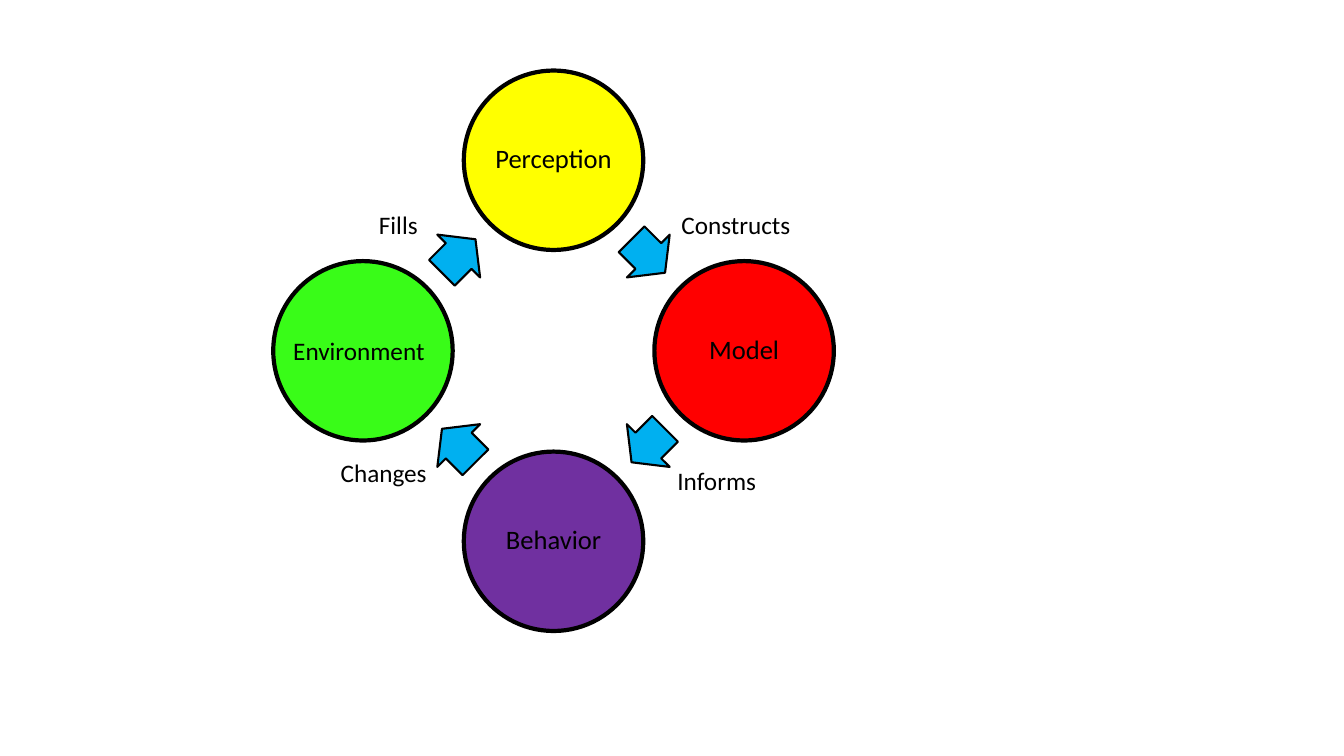
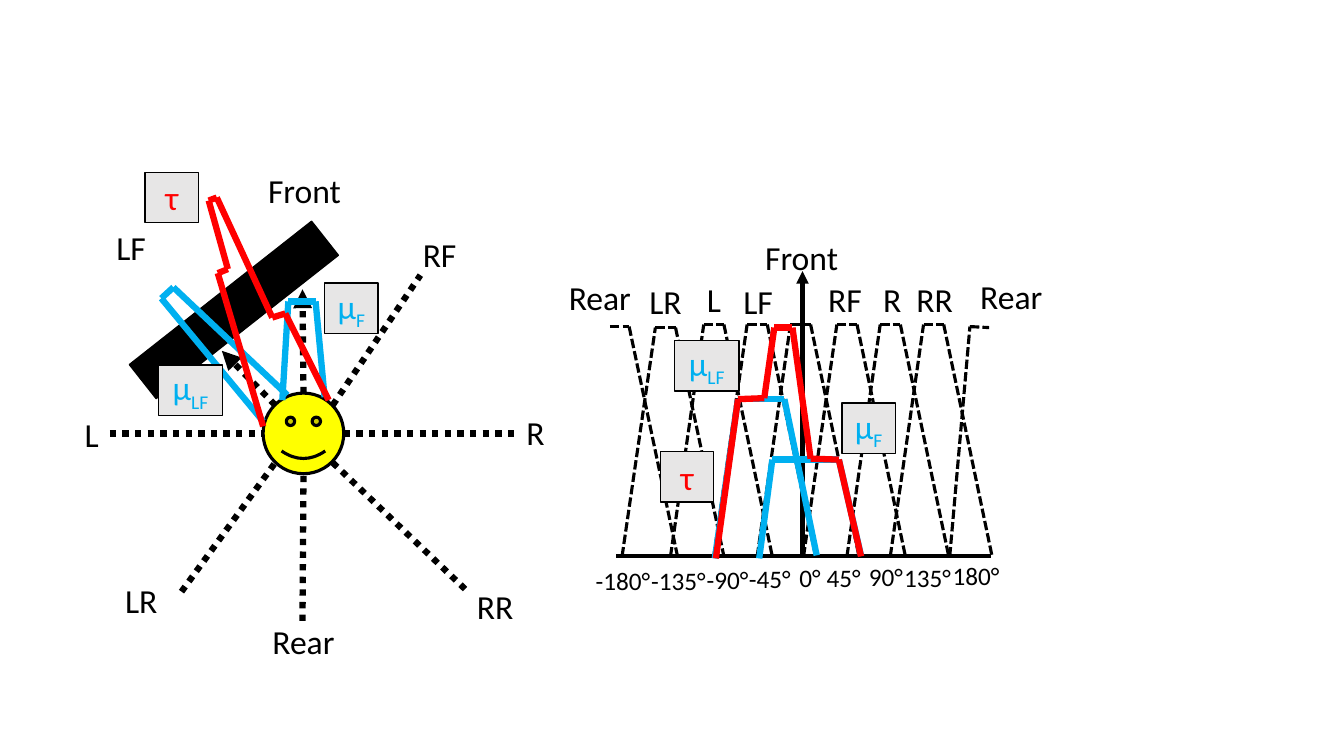
from itertools import pairwise

from lxml.etree import SubElement
from pptx import Presentation
from pptx.dml.color import RGBColor
from pptx.enum.dml import MSO_LINE
from pptx.enum.shapes import MSO_CONNECTOR, MSO_SHAPE
from pptx.enum.text import MSO_ANCHOR, PP_ALIGN
from pptx.oxml.ns import qn
from pptx.util import Inches, Pt

FONT = "Calibri"
BLACK, BLUE, RED, YELLOW = "000000", "00B0F0", "FF0000", "FFFF00"
GREEN, PURPLE, GRAY = "39FC18", "7030A0", "E7E6E6"
DASH, DOT = MSO_LINE.SQUARE_DOT, MSO_LINE.ROUND_DOT


def tint(color, value):
    color.rgb = RGBColor.from_string(value)


def style(para, size, color=BLACK, align=PP_ALIGN.CENTER):
    para.alignment = align
    para.font.name = FONT
    para.font.size = Pt(size)
    tint(para.font.color, color)


def add_form(slide, kind, box, fill, width):
    """Add a filled preset shape with a black outline."""
    form = slide.shapes.add_shape(kind, *map(Inches, box))
    form.shadow.inherit = False
    form.fill.solid()
    tint(form.fill.fore_color, fill)
    tint(form.line.color, BLACK)
    form.line.width = Pt(width)
    return form


def add_label(slide, text, left, top, width=1.02, size=24, align=PP_ALIGN.CENTER):
    height = 0.5 if size == 24 else 0.4
    box = slide.shapes.add_textbox(*map(Inches, (left, top, width, height)))
    box.text_frame.word_wrap = True
    para = box.text_frame.paragraphs[0]
    para.text = text
    style(para, size, align=align)


def add_note(slide, text, left, top, width):
    """Add a small label aligned to the left."""
    add_label(slide, text, left, top, width, 18, PP_ALIGN.LEFT)


def add_tag(slide, sign, sub, color, left, top):
    """Add a gray box with a symbol and its subscript."""
    width = 0.64 if len(sub) > 1 else 0.53
    tag = add_form(slide, MSO_SHAPE.RECTANGLE, (left, top, width, 0.5), GRAY, 1)
    tag.text_frame.word_wrap = False
    para = tag.text_frame.paragraphs[0]
    style(para, 24, color)
    para.add_run().text = sign
    if sub:
        run = para.add_run()
        run.text = sub
        run.font._element.set("baseline", "-25000")


def add_line(slide, start, end, color, width, dash=None, arrow=False):
    line = slide.shapes.add_connector(
        MSO_CONNECTOR.STRAIGHT, *map(Inches, (*start, *end)))
    tint(line.line.color, color)
    line.line.width = Pt(width)
    if dash:
        line.line.dash_style = dash
    if arrow:
        SubElement(line.line._get_or_add_ln(), qn("a:tailEnd"), type="triangle")
    SubElement(line._element.spPr, qn("a:effectLst"))


def trace(slide, points, color, width=4.5, dash=None):
    """Join the points in turn by straight lines."""
    for start, end in pairwise(points):
        add_line(slide, start, end, color, width, dash)


def draw_cycle(slide):
    mid_x, mid_y, reach, size = 5.49, 3.48, 1.89, 1.78
    stages = [("Perception", YELLOW, 0, -1), ("Model", RED, 1, 0),
              ("Behavior", PURPLE, 0, 1), ("", GREEN, -1, 0)]
    for name, fill, dx, dy in stages:
        box = (mid_x + dx * reach - size / 2, mid_y + dy * reach - size / 2, size, size)
        disc = add_form(slide, MSO_SHAPE.OVAL, box, fill, 3)
        frame = disc.text_frame
        frame.vertical_anchor = MSO_ANCHOR.MIDDLE
        frame.margin_left = frame.margin_right = Inches(0.03)
        frame.margin_top = frame.margin_bottom = Inches(0.03)
        para = frame.paragraphs[0]
        para.text = name
        para.line_spacing = 0.9
        style(para, 19)

    wide, high, shift = 0.47, 0.6, 0.94
    for turn, (dx, dy) in enumerate([(1, -1), (1, 1), (-1, 1), (-1, -1)]):
        box = (mid_x + dx * shift - wide / 2, mid_y + dy * shift - high / 2, wide, high)
        arrow = add_form(slide, MSO_SHAPE.RIGHT_ARROW, box, BLUE, 1.5)
        arrow.adjustments[0] = 0.6
        arrow.adjustments[1] = 0.5
        arrow.rotation = 45 + 90 * turn

    add_note(slide, "Environment", 2.81, 3.28, 1.68)
    for text, left, top in [("Informs", 6.62, 4.57), ("Changes", 3.28, 4.49),
                            ("Fills", 3.66, 2.03), ("Constructs", 6.66, 2.03)]:
        add_note(slide, text, left, top, 1.32)


def draw_chart(slide):
    """Draw the overlapping lobes along the angle axis."""
    base = 5.52
    add_line(slide, (6.11, base), (9.83, base), BLACK, 3)
    add_line(slide, (7.96, base), (7.96, 2.69), BLACK, 3, arrow=True)
    angles = [(-180, 5.81, 5.56), (-135, 6.36, 5.56), (-90, 6.91, 5.55),
              (-45, 7.33, 5.54), (0, 7.83, 5.53), (45, 8.1, 5.53),
              (90, 8.52, 5.52), (135, 8.87, 5.53), (180, 9.35, 5.51)]
    for angle, left, top in angles:
        add_note(slide, f"{angle}°", left, top, 0.86)

    trace(slide, [(6.05, 3.24), (6.24, 3.24), (6.72, base)], BLACK, 2.25, DASH)
    for left in (6.5, 6.98, 7.41, 7.84, 8.3, 8.73, 9.16):
        top = 3.25 if left == 6.5 else 3.22
        lobe = [(left - 0.33, base), (left, top), (left + 0.2, top), (left + 0.68, base)]
        trace(slide, lobe, BLACK, 2.25, DASH)
    trace(slide, [(9.42, base), (9.62, 3.24), (9.81, 3.25)], BLACK, 2.25, DASH)

    trace(slide, [(7.09, 5.54), (7.32, 3.96), (7.78, 3.96), (8.1, 5.51)], BLUE)
    trace(slide, [(7.53, 5.54), (7.66, 4.56), (8.32, 4.56), (8.54, 5.51)], BLUE)
    trace(slide, [(7.1, 5.54), (7.32, 3.96), (7.58, 3.95), (7.68, 3.25),
                  (7.86, 3.25), (8.04, 4.55), (8.32, 4.56), (8.54, 5.52)], RED)
    add_tag(slide, "μ", "LF", BLUE, 6.69, 3.38)
    add_tag(slide, "μ", "F", BLUE, 8.35, 4)
    add_tag(slide, "τ", "", RED, 6.55, 4.48)
    for text, left, top in [
            ("Rear", 5.44, 2.7), ("LR", 6.09, 2.74), ("L", 6.57, 2.72),
            ("LF", 7.01, 2.74), ("Front", 7.44, 2.3), ("RF", 7.87, 2.72),
            ("R", 8.34, 2.72), ("RR", 8.76, 2.72), ("Rear", 9.52, 2.69)]:
        add_label(slide, text, left, top)


def draw_field(slide):
    """Draw the directions around the face, with the wall ahead."""
    add_form(slide, MSO_SHAPE.SMILEY_FACE, (2.61, 3.9, 0.8, 0.8), YELLOW, 2.25)
    add_line(slide, (2.73, 4.02), (2.2, 3.48), BLACK, 4.5, DOT, True)
    add_line(slide, (3.01, 3.9), (3, 2.87), BLACK, 4.5, DOT, True)
    wall = add_form(slide, MSO_SHAPE.RECTANGLE, (1.17, 2.86, 2.3, 0.43), BLACK, 1)
    wall.rotation = 321.8
    for start, end in [((3.3, 4.02), (4.17, 2.73)), ((1.8, 5.87), (2.73, 4.59)),
                       ((3, 6.16), (3.01, 4.7)), ((3.41, 4.3), (5.14, 4.3)),
                       ((1.09, 4.3), (2.61, 4.3)), ((3.3, 4.59), (4.64, 5.87))]:
        add_line(slide, start, end, BLACK, 4.5, DOT)

    trace(slide, [(2.61, 4.18), (1.6, 2.96), (1.72, 2.85), (2.85, 3.92)], BLUE)
    trace(slide, [(2.8, 3.97), (2.86, 2.99), (3.13, 2.99), (3.22, 3.94)], BLUE)
    add_tag(slide, "μ", "LF", BLUE, 1.57, 3.62)
    add_tag(slide, "μ", "F", BLUE, 3.22, 2.81)
    for text, left, top in [
            ("Front", 2.51, 1.64), ("RF", 3.85, 2.27), ("R", 4.8, 4.04),
            ("RR", 4.4, 5.76), ("Rear", 2.5, 6.11), ("LR", 0.89, 5.7),
            ("L", 0.4, 4.06), ("LF", 0.79, 2.2)]:
        add_label(slide, text, left, top)
    trace(slide, [(2.61, 4.23), (2.16, 2.71), (2.26, 2.67), (2.07, 1.99),
                  (2.15, 1.96), (2.7, 3.15), (2.83, 3.11), (3.26, 3.97)], RED)
    add_tag(slide, "τ", "", RED, 1.44, 1.71)


def main():
    deck = Presentation()
    deck.slide_width, deck.slide_height = Inches(13.33), Inches(7.5)
    blank = deck.slide_layouts[6]
    draw_cycle(deck.slides.add_slide(blank))
    steer = deck.slides.add_slide(blank)
    draw_chart(steer)
    draw_field(steer)
    deck.save("out.pptx")


if __name__ == "__main__":
    main()
